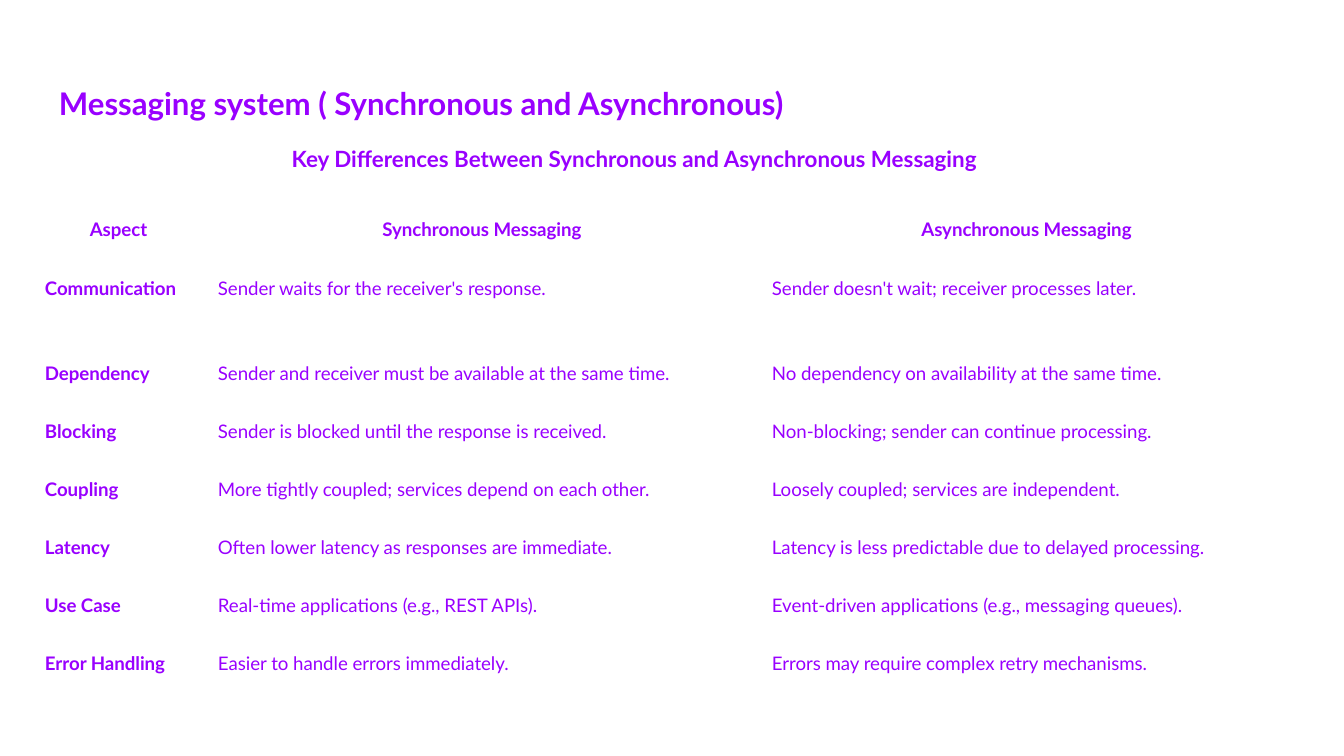
from pptx import Presentation
from pptx.dml.color import RGBColor
from pptx.enum.text import MSO_ANCHOR, MSO_AUTO_SIZE, PP_ALIGN
from pptx.util import Emu, Pt

SCALE = 9144000 / 1344
FONT = "Lato"
COLORS = {"ink": "9900FF", "page": "FFFFFF"}
INSET = 13
COLS = [173, 554, 535]
HEIGHTS = [62, 85] + [58] * 6
ROWS = [
    ("Aspect", "Synchronous Messaging", "Asynchronous Messaging"),
    ("Communication", "Sender waits for the receiver's response.",
     "Sender doesn't wait; receiver processes later."),
    ("Dependency", "Sender and receiver must be available at the same time.",
     "No dependency on availability at the same time."),
    ("Blocking", "Sender is blocked until the response is received.",
     "Non-blocking; sender can continue processing."),
    ("Coupling", "More tightly coupled; services depend on each other.",
     "Loosely coupled; services are independent."),
    ("Latency", "Often lower latency as responses are immediate.",
     "Latency is less predictable due to delayed processing."),
    ("Use Case", "Real-time applications (e.g., REST APIs).",
     "Event-driven applications (e.g., messaging queues)."),
    ("Error Handling", "Easier to handle errors immediately.",
     "Errors may require complex retry mechanisms."),
]


def px(num):
    return Emu(round(num * SCALE))


def pad(item):
    item.margin_left = item.margin_right = px(INSET)
    item.margin_top = item.margin_bottom = px(INSET)
    item.vertical_anchor = MSO_ANCHOR.TOP


def write(frame, text, size=10, bold=False, align=PP_ALIGN.LEFT,
          line=1.0, above=0, below=0):
    para = frame.paragraphs[0]
    para.alignment = align
    para.line_spacing = line
    para.space_before = Pt(above)
    para.space_after = Pt(below)
    run = para.add_run()
    run.text = text
    font = run.font
    font.name = FONT
    font.size = Pt(size)
    font.bold = bold
    font.color.rgb = RGBColor.from_string(COLORS["ink"])


def add_title(slide, text, left, top, width, height):
    title = slide.shapes.title
    title.left, title.top = px(left), px(top)
    title.width, title.height = px(width), px(height)
    frame = title.text_frame
    frame.word_wrap = True
    frame.auto_size = MSO_AUTO_SIZE.NONE
    pad(frame)
    write(frame, text, size=16.7, bold=True, line=1.15)


def add_heading(slide, text, left, top, width, height):
    box = slide.shapes.add_textbox(px(left), px(top), px(width), px(height))
    frame = box.text_frame
    frame.word_wrap = True
    frame.auto_size = MSO_AUTO_SIZE.SHAPE_TO_FIT_TEXT
    pad(frame)
    write(frame, text, size=12, bold=True, align=PP_ALIGN.CENTER,
          line=1.15, above=14, below=4)


def add_grid(slide, left, top):
    shape = slide.shapes.add_table(len(ROWS), len(COLS), px(left), px(top),
                                   px(sum(COLS)), px(sum(HEIGHTS)))
    table = shape.table
    table.horz_banding = False
    for col, width in zip(table.columns, COLS):
        col.width = px(width)
    for row, height in zip(table.rows, HEIGHTS):
        row.height = px(height)
    for i, row in enumerate(ROWS):
        for j, text in enumerate(row):
            cell = table.cell(i, j)
            cell.fill.background()
            pad(cell)
            head = i == 0
            write(cell.text_frame, text, bold=head or j == 0,
                  align=PP_ALIGN.CENTER if head else PP_ALIGN.LEFT,
                  line=1.15 if head else 1.0)


def main():
    deck = Presentation()
    deck.slide_width, deck.slide_height = px(1344), px(756)
    slide = deck.slides.add_slide(deck.slide_layouts[5])
    fill = slide.background.fill
    fill.solid()
    fill.fore_color.rgb = RGBColor.from_string(COLORS["page"])
    add_title(slide, "Messaging system ( Synchronous and Asynchronous)",
              46, 66, 778, 85)
    add_grid(slide, 32, 202)
    add_heading(slide, "Key Differences Between Synchronous and "
                "Asynchronous Messaging", 251, 128, 767, 54)
    deck.save("out.pptx")


if __name__ == "__main__":
    main()
